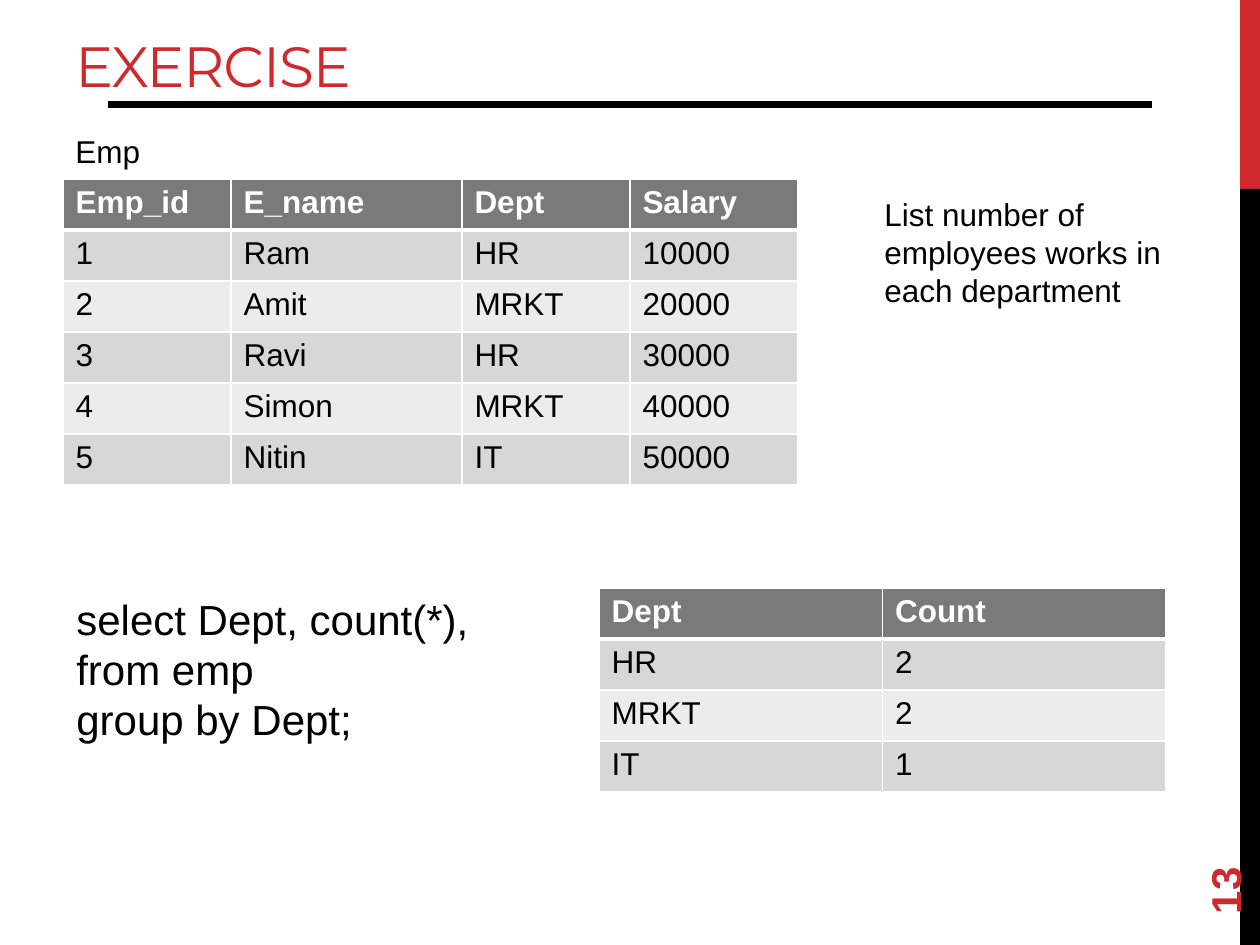
from dataclasses import dataclass

from lxml.etree import SubElement
from pptx import Presentation
from pptx.dml.color import RGBColor
from pptx.enum.shapes import MSO_CONNECTOR, MSO_SHAPE
from pptx.enum.text import MSO_ANCHOR, PP_ALIGN
from pptx.oxml.ns import qn
from pptx.util import Emu, Pt

EMU_PER_PX = 914400 / 126


@dataclass(frozen=True)
class Theme:
    red: str = "D1282E"
    black: str = "000000"
    white: str = "FFFFFF"
    header: str = "7A7A7A"
    bands: tuple = ("D7D7D7", "ECECEC")
    body_font: str = "Arial"
    title_font: str = "Montserrat"
    title_size: float = 32.4
    large: int = 24
    body: int = 18
    rule: int = 4
    grid: int = 1
    header_rule: int = 3


THEME = Theme()


def px(n):
    return Emu(round(n * EMU_PER_PX))


def box(*lengths):
    return [px(n) for n in lengths]


def rgb(value):
    return RGBColor.from_string(value)


def write(tf, lines, color=THEME.black, anchor=MSO_ANCHOR.TOP, **font):
    """Fill a text frame, one paragraph per line."""
    tf.word_wrap = True
    tf.vertical_anchor = anchor
    formats = {"name": THEME.body_font, "size": Pt(THEME.body), "bold": False} | font
    for i, line in enumerate(lines):
        p = tf.paragraphs[0] if i == 0 else tf.add_paragraph()
        p.alignment = PP_ALIGN.LEFT
        r = p.add_run()
        r.text = line
        for key, value in formats.items():
            setattr(r.font, key, value)
        r.font.color.rgb = rgb(color)


def add_text(s, at, lines, **formats):
    sp = s.shapes.add_textbox(*box(*at))
    write(sp.text_frame, lines, **formats)
    return sp


def add_bar(s, at, color):
    sp = s.shapes.add_shape(MSO_SHAPE.RECTANGLE, *box(*at))
    sp.shadow.inherit = False
    sp.fill.solid()
    sp.fill.fore_color.rgb = rgb(color)
    sp.line.fill.background()


def add_rule(s, ends):
    line = s.shapes.add_connector(MSO_CONNECTOR.STRAIGHT, *box(*ends))
    line.line.color.rgb = rgb(THEME.black)
    line.line.width = Pt(THEME.rule)
    SubElement(line._element.spPr, qn("a:effectLst"))


def set_borders(cell, top, bottom):
    tcPr = cell._tc.get_or_add_tcPr()
    widths = {"lnL": THEME.grid, "lnR": THEME.grid, "lnT": top, "lnB": bottom}
    for tag, width in widths.items():
        ln = SubElement(tcPr, qn(f"a:{tag}"), w=str(Pt(width)))
        fill = SubElement(ln, qn("a:solidFill"))
        SubElement(fill, qn("a:srgbClr"), val=THEME.white)


def add_grid(s, left, top, col_widths, row_height, rows):
    """Table with a dark header row and banded body rows."""
    at = box(left, top, sum(col_widths), row_height * len(rows))
    table = s.shapes.add_table(len(rows), len(col_widths), *at).table
    for column, width in zip(table.columns, col_widths):
        column.width = px(width)
    for i, values in enumerate(rows):
        table.rows[i].height = px(row_height)
        is_header = i == 0
        for j, value in enumerate(values):
            cell = table.cell(i, j)
            set_borders(cell,
                        top=THEME.header_rule if i == 1 else THEME.grid,
                        bottom=THEME.header_rule if is_header else THEME.grid)
            cell.fill.solid()
            cell.fill.fore_color.rgb = rgb(
                THEME.header if is_header else THEME.bands[(i - 1) % 2])
            write(cell.text_frame, [value], bold=is_header,
                  color=THEME.white if is_header else THEME.black)


def main():
    prs = Presentation()
    prs.slide_width, prs.slide_height = box(1260, 945)
    s = prs.slides.add_slide(prs.slide_layouts[6])

    # Side bars and title rule
    add_bar(s, (1240, 0, 20, 189), THEME.red)
    add_bar(s, (1240, 189, 20, 756), THEME.black)
    add_rule(s, (108, 105, 1152, 105))

    # Title
    title = add_text(s, (63, 21, 1176, 84), ["EXERCISE"], color=THEME.red,
                     anchor=MSO_ANCHOR.BOTTOM, name=THEME.title_font,
                     size=Pt(THEME.title_size))
    title.text_frame.paragraphs[0].runs[0].font._element.set("spc", "-60")

    # Employee table and question
    add_text(s, (63, 126, 158, 50), ["Emp"])
    add_grid(s, 63, 179, (168, 231, 168, 168), 51, [
        ("Emp_id", "E_name", "Dept", "Salary"),
        ("1", "Ram", "HR", "10000"),
        ("2", "Amit", "MRKT", "20000"),
        ("3", "Ravi", "HR", "30000"),
        ("4", "Simon", "MRKT", "40000"),
        ("5", "Nitin", "IT", "50000"),
    ])
    add_text(s, (872, 189, 305, 127),
             ["List number of employees works in each department"])

    # Query and its result
    add_text(s, (64, 587, 678, 165),
             ["select Dept, count(*),", "from emp", "group by Dept;"],
             size=Pt(THEME.large))
    add_grid(s, 599, 588, (283.5, 283.5), 51, [
        ("Dept", "Count"),
        ("HR", "2"),
        ("MRKT", "2"),
        ("IT", "1"),
    ])

    # Slide number
    number = add_text(s, (1134, 811, 181, 50), ["13"], color=THEME.red,
                      anchor=MSO_ANCHOR.MIDDLE, size=Pt(THEME.large), bold=True)
    number.rotation = 270

    prs.save("out.pptx")


main()
